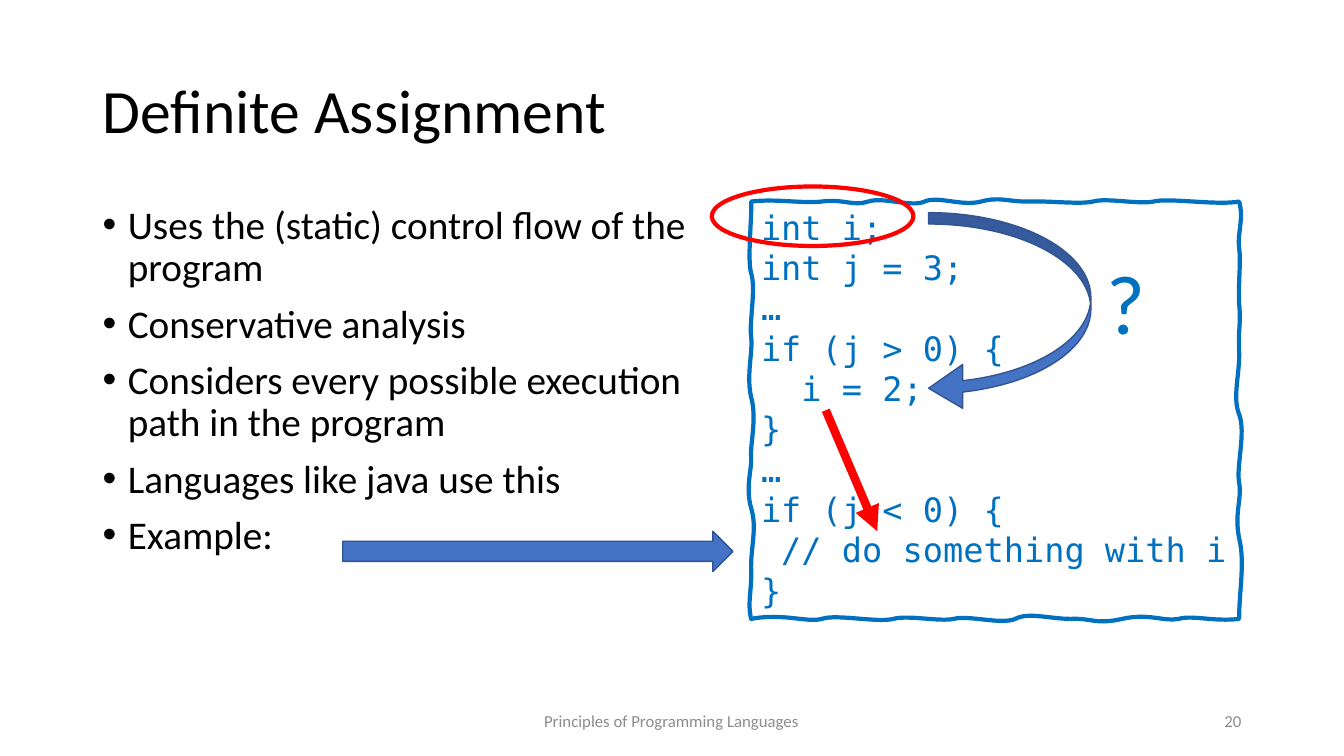
from lxml import etree
from pptx import Presentation
from pptx import util as u
from pptx.dml.color import RGBColor
from pptx.enum import shapes, text
from pptx.oxml import ns

PX = 9144  # EMU per px, 100 px to the inch
SLIDE = (1333, 750)
SANS, MONO = "Calibri", "DejaVu Sans Mono"
COLORS = {"ink": "000000", "muted": "8C8C8C", "code": "0070C0",
          "arrow": "4472C4", "arrow_edge": "325491", "alert": "FF0000"}

TITLE = "Definite Assignment"
POINTS = [
    "Uses the (static) control flow of the program",
    "Conservative analysis",
    "Considers every possible execution path in the program",
    "Languages like java use this",
    "Example:",
]
CODE = ["int i;", "int j = 3;", "…", "if (j > 0) {", "  i = 2;", "}", "…",
        "if (j < 0) {", " // do something with i", "}"]
FOOTER = "Principles of Programming Languages"
PAGE = "20"

# Hand-drawn code frame: each row is two control points and an end point
FRAME_START = (745, 200)
FRAME_CURVES = [
    (769, 197, 794, 202, 815, 200), (836, 197, 847, 205, 861, 200),
    (876, 195, 904, 206, 917, 200), (930, 194, 954, 205, 973, 200),
    (991, 195, 999, 200, 1019, 200), (1039, 199, 1071, 203, 1084, 200),
    (1097, 196, 1130, 203, 1144, 200), (1159, 196, 1207, 204, 1229, 200),
    (1234, 217, 1227, 232, 1229, 246), (1231, 260, 1228, 282, 1229, 301),
    (1231, 321, 1228, 327, 1229, 348), (1230, 370, 1222, 394, 1229, 411),
    (1236, 429, 1226, 463, 1229, 479), (1232, 495, 1224, 509, 1229, 534),
    (1235, 558, 1229, 586, 1229, 614),
    (1204, 617, 1183, 610, 1169, 614), (1154, 617, 1140, 608, 1113, 614),
    (1086, 620, 1083, 613, 1062, 614), (1041, 614, 1020, 607, 1007, 614),
    (993, 620, 960, 610, 946, 614), (932, 617, 901, 610, 886, 614),
    (870, 618, 830, 609, 815, 614), (801, 618, 777, 608, 745, 614),
    (741, 597, 746, 586, 745, 563), (745, 540, 751, 524, 745, 504),
    (739, 483, 746, 466, 745, 453), (744, 440, 751, 415, 745, 394),
    (740, 372, 747, 349, 745, 334), (743, 320, 750, 286, 745, 271),
    (741, 257, 746, 216, 745, 200),
]


def px(*lengths):
    return [u.Emu(n * PX) for n in lengths]


def rgb(name):
    return RGBColor.from_string(COLORS[name])


def write(frame, lines, size, color, font=SANS, align=text.PP_ALIGN.LEFT,
          anchor=text.MSO_ANCHOR.TOP, wrap=True, spacing=None):
    frame.word_wrap = wrap
    frame.vertical_anchor = anchor
    for i, line in enumerate(lines):
        paragraph = frame.add_paragraph() if i else frame.paragraphs[0]
        paragraph.text = line
        paragraph.alignment = align
        paragraph.line_spacing = spacing
        paragraph.font.size = u.Pt(size)
        paragraph.font.name = font
        paragraph.font.color.rgb = rgb(color)
    return frame


def add_text(slide, box, lines, size, color, **style):
    frame = slide.shapes.add_textbox(*px(*box)).text_frame
    return write(frame, lines, size, color, **style)


def paint(shape, edge, width, fill=None):
    shape.shadow.inherit = False
    if fill:
        shape.fill.solid()
        shape.fill.fore_color.rgb = rgb(fill)
    else:
        shape.fill.background()
    shape.line.color.rgb = rgb(edge)
    shape.line.width = u.Pt(width)


def add_bullets(frame):
    for paragraph in frame.paragraphs:
        paragraph.space_before = u.Pt(10)
        props = paragraph._p.get_or_add_pPr()
        props.set("marL", str(25 * PX))
        props.set("indent", str(-25 * PX))
        etree.SubElement(props, ns.qn("a:buFont")).set("typeface", "Arial")
        etree.SubElement(props, ns.qn("a:buChar")).set("char", "•")


def bend(outline):
    """Turn each straight segment of the frame into its cubic curve."""
    x0, y0 = FRAME_START
    segments = list(outline._element.iter(ns.qn("a:lnTo")))
    for segment, curve in zip(segments, FRAME_CURVES):
        segment.tag = ns.qn("a:cubicBezTo")
        for point in list(segment):
            segment.remove(point)
        for x, y in zip(curve[::2], curve[1::2]):
            point = etree.SubElement(segment, ns.qn("a:pt"))
            point.set("x", str(x - x0))
            point.set("y", str(y - y0))


def add_code(slide):
    builder = slide.shapes.build_freeform(*FRAME_START, scale=PX)
    builder.add_line_segments([curve[-2:] for curve in FRAME_CURVES], close=True)
    box = builder.convert_to_shape()
    bend(box)
    paint(box, "code", 3)
    frame = write(box.text_frame, CODE, 24, "code", font=MONO, spacing=u.Pt(28.8))
    frame.margin_right = 0


def add_flow_line(slide, start, end):
    line = slide.shapes.add_connector(shapes.MSO_CONNECTOR.STRAIGHT, *px(*start, *end))
    line.line.color.rgb = rgb("alert")
    line.line.width = u.Pt(6)
    etree.SubElement(line.line._get_or_add_ln(), ns.qn("a:tailEnd")).set("type", "triangle")
    etree.SubElement(line._element.spPr, ns.qn("a:effectLst"))


def main():
    deck = Presentation()
    deck.slide_width, deck.slide_height = px(*SLIDE)
    slide = deck.slides.add_slide(deck.slide_layouts[6])
    middle = text.MSO_ANCHOR.MIDDLE

    add_text(slide, (92, 40, 1150, 145), [TITLE], 44, "ink", anchor=middle, spacing=0.9)
    add_bullets(add_text(slide, (92, 199, 599, 476), POINTS, 28, "ink", spacing=0.9))
    add_text(slide, (441, 695, 450, 40), [FOOTER], 12, "muted",
             align=text.PP_ALIGN.CENTER, anchor=middle)
    add_text(slide, (941, 695, 300, 40), [PAGE], 12, "muted",
             align=text.PP_ALIGN.RIGHT, anchor=middle)
    add_code(slide)

    preset = shapes.MSO_SHAPE
    example_arrow = slide.shapes.add_shape(preset.RIGHT_ARROW, *px(340, 527, 387, 40))
    paint(example_arrow, "arrow_edge", 1, "arrow")
    assign_arrow = slide.shapes.add_shape(preset.CURVED_LEFT_ARROW, *px(921, 211, 161, 196))
    for i, value in enumerate((0.07, 0.27, 0.21)):
        assign_arrow.adjustments[i] = value
    paint(assign_arrow, "arrow_edge", 1, "arrow")

    add_text(slide, (1088, 244, 59, 111), ["?"], 60, "code", wrap=False)
    add_flow_line(slide, (819, 407), (870, 527))
    declaration_ring = slide.shapes.add_shape(preset.OVAL, *px(706, 185, 200, 59))
    paint(declaration_ring, "alert", 3)

    deck.save("out.pptx")


if __name__ == "__main__":
    main()
